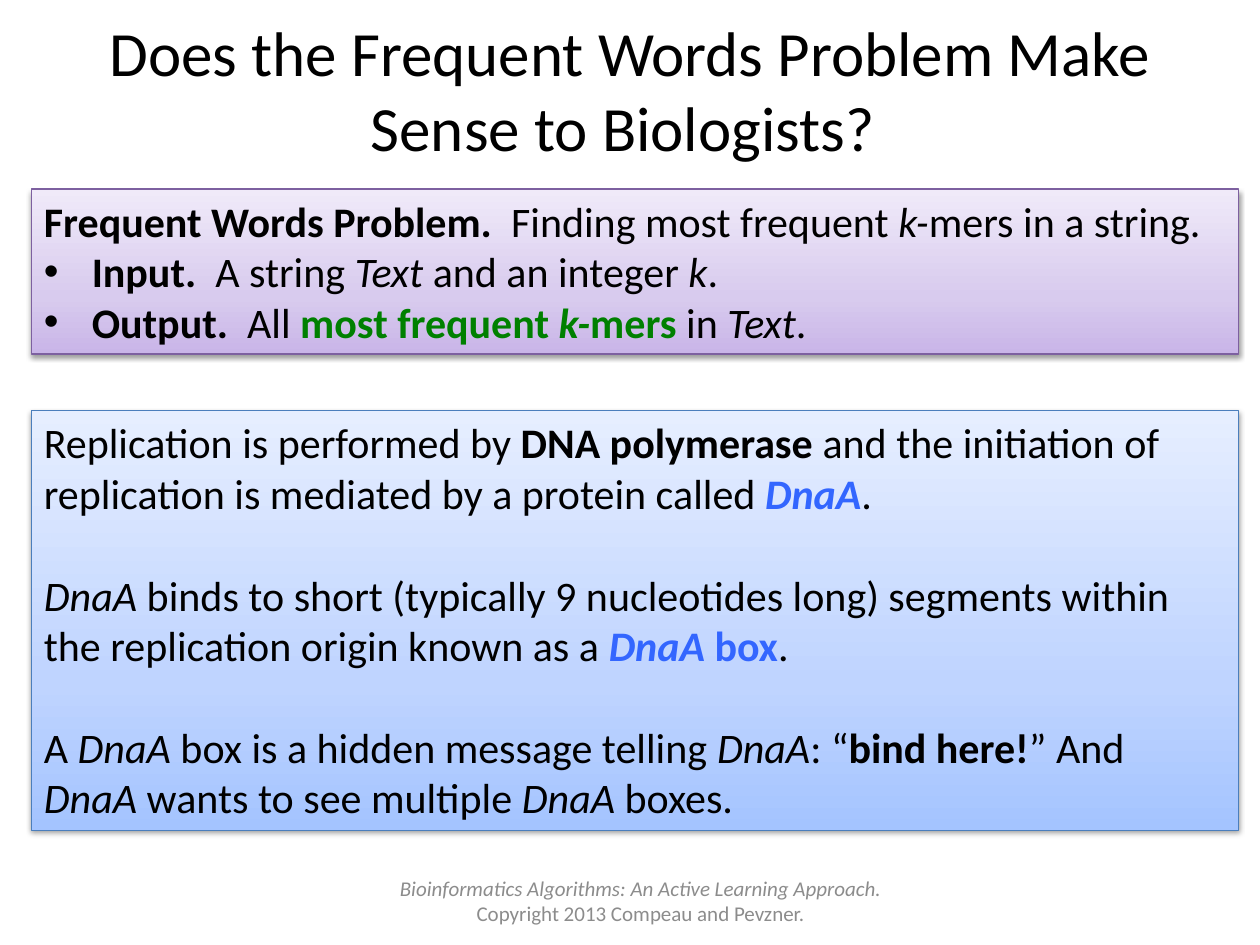
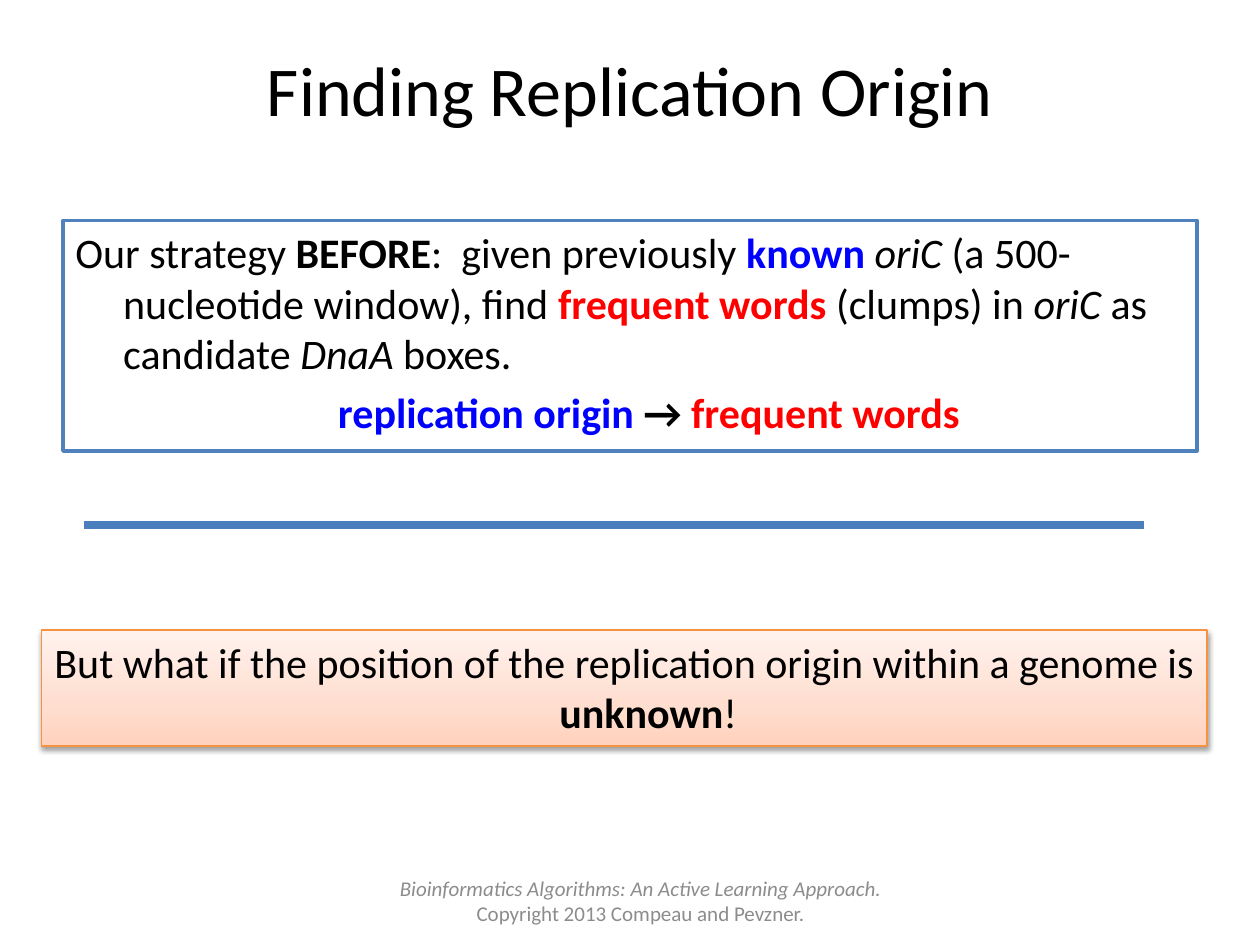
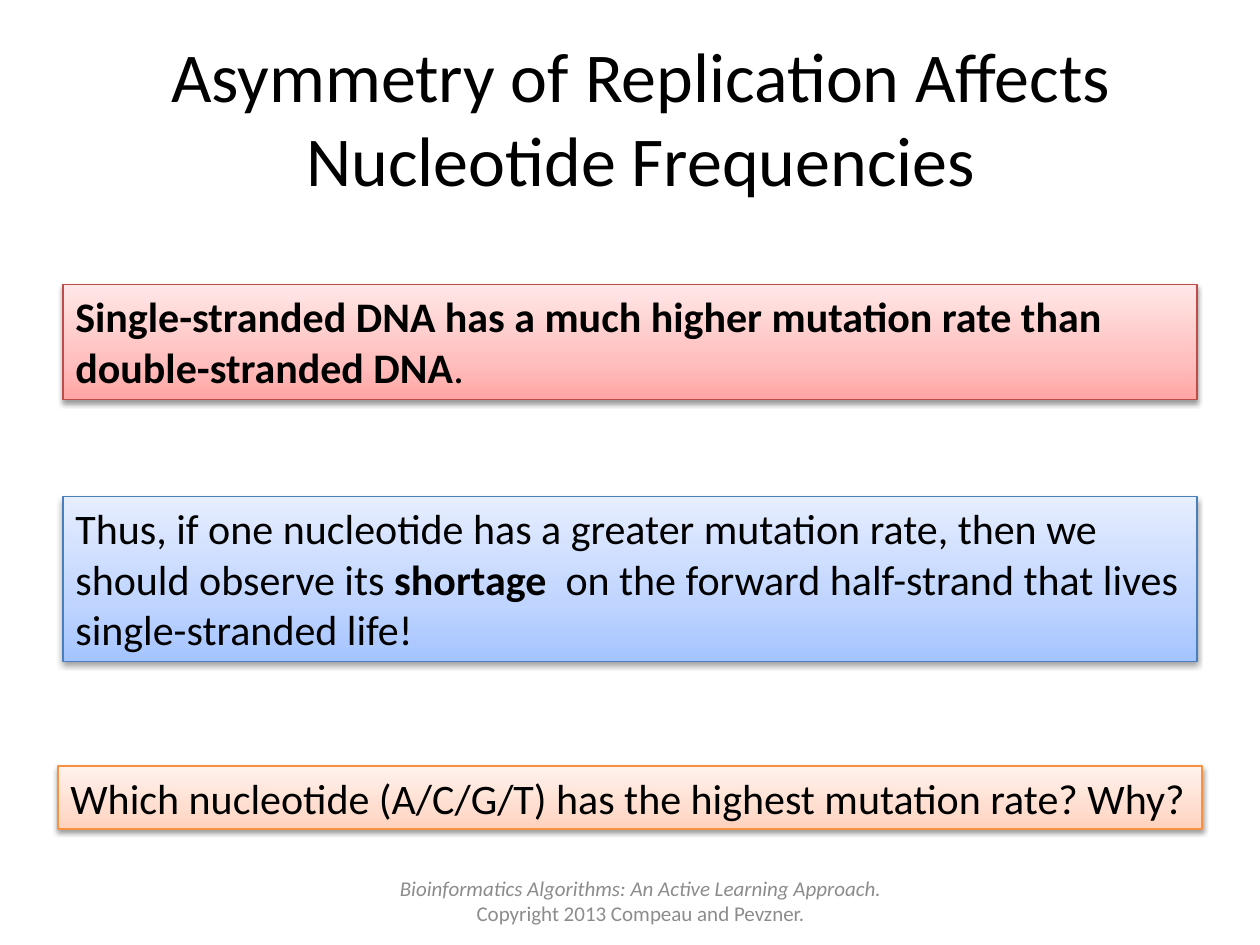
from copy import deepcopy

from lxml.etree import SubElement
from pptx import Presentation
from pptx.dml.color import RGBColor
from pptx.enum.shapes import MSO_CONNECTOR, MSO_SHAPE
from pptx.enum.text import MSO_ANCHOR, PP_ALIGN
from pptx.oxml.ns import qn
from pptx.util import Inches, Pt

# Colours
BLACK = RGBColor(0x00, 0x00, 0x00)
WHITE = RGBColor(0xFF, 0xFF, 0xFF)
GREY = RGBColor(0x8C, 0x8C, 0x8C)
GREEN = RGBColor(0x00, 0x80, 0x00)
AZURE = RGBColor(0x33, 0x66, 0xFF)
BLUE = RGBColor(0x00, 0x00, 0xFF)
RED = RGBColor(0xFF, 0x00, 0x00)
STEEL = RGBColor(0x4F, 0x81, 0xBD)
NAVY = RGBColor(0x4B, 0x7E, 0xBC)

# Box themes: outline, then the gradient from bottom to top
STOPS = (0, 0.35, 1)
VIOLET_BOX = (RGBColor(0x7D, 0x60, 0xA0), RGBColor(0xC9, 0xB5, 0xE8),
              RGBColor(0xD8, 0xCB, 0xEE), RGBColor(0xF0, 0xEA, 0xF9))
BLUE_BOX = (NAVY, RGBColor(0xA4, 0xC4, 0xFF),
            RGBColor(0xBF, 0xD4, 0xFF), RGBColor(0xE6, 0xEE, 0xFF))
ORANGE_BOX = (RGBColor(0xF6, 0x92, 0x40), RGBColor(0xFF, 0xD2, 0xBD),
              RGBColor(0xFF, 0xDE, 0xD0), RGBColor(0xFF, 0xF2, 0xED))
RED_BOX = (RGBColor(0xBF, 0x4C, 0x48), RGBColor(0xFF, 0xA6, 0xA5),
           RGBColor(0xFF, 0xC0, 0xBF), RGBColor(0xFF, 0xE7, 0xE7))

# Text styles
FONT = "Calibri"
PLAIN = {}
BOLD = {"bold": True}
ITALIC = {"italic": True}
BOTH = {"bold": True, "italic": True}
LINE_GAP = 29.3  # one line of body text, in points
HANG = 0.38


def add_text(par, text, size=24, color=BLACK, bold=False, italic=False):
    run = par.add_run()
    run.text = text
    font = run.font
    font.name, font.size = FONT, Pt(size)
    font.bold, font.italic = bold, italic
    font.color.rgb = color


def add_par(frame, *parts, align=PP_ALIGN.LEFT, before=0, left=0, hang=0,
            bullet=False):
    """Fill the empty first paragraph, or start a new one."""
    par = frame.paragraphs[0]
    if par.runs:
        par = frame.add_paragraph()
    par.alignment = align
    par.space_before = Pt(before)
    props = par._p.get_or_add_pPr()
    props.set("marL", str(Inches(left)))
    props.set("indent", str(-Inches(hang)))
    if bullet:
        SubElement(props, qn("a:buFont"), typeface="Arial")
        SubElement(props, qn("a:buChar"), char="•")
    for text, style in parts:
        add_text(par, text, **style)


def add_shadow(shape):
    effects = shape._element.spPr.find(qn("a:effectLst"))
    shadow = SubElement(effects, qn("a:outerShdw"), blurRad=str(Pt(3.1)),
                        dist=str(Pt(1.6)), dir="5400000", rotWithShape="0")
    color = SubElement(shadow, qn("a:srgbClr"), val=str(BLACK))
    SubElement(color, qn("a:alpha"), val="38000")


def add_box(slide, left, top, width, height, line, weight=0.75):
    shape = slide.shapes.add_shape(
        MSO_SHAPE.RECTANGLE, Inches(left), Inches(top), Inches(width),
        Inches(height))
    shape.shadow.inherit = False
    shape.fill.solid()
    shape.fill.fore_color.rgb = WHITE
    shape.line.color.rgb = line
    shape.line.width = Pt(weight)
    frame = shape.text_frame
    frame.word_wrap = True
    frame.vertical_anchor = MSO_ANCHOR.TOP
    return shape


def add_panel(slide, left, top, width, height, theme):
    """Add a shaded box with a shadow and return its text frame."""
    line, *shades = theme
    shape = add_box(slide, left, top, width, height, line)
    fill = shape.fill
    fill.gradient()
    fill.gradient_angle = 90
    stops = shape._element.spPr.find(qn("a:gradFill")).find(qn("a:gsLst"))
    stops.append(deepcopy(stops[0]))
    for stop, place, shade in zip(fill.gradient_stops, STOPS, shades):
        stop.position = place
        stop.color.rgb = shade
    add_shadow(shape)
    return shape.text_frame


def add_rule(slide, left, right, top):
    rule = slide.shapes.add_connector(
        MSO_CONNECTOR.STRAIGHT, Inches(left), Inches(top), Inches(right),
        Inches(top))
    rule.line.color.rgb = NAVY
    rule.line.width = Pt(4.5)
    SubElement(rule._element.spPr, qn("a:effectLst"))


def add_footer(slide):
    box = slide.shapes.add_textbox(
        Inches(3), Inches(6.95), Inches(4.17), Inches(0.4))
    frame = box.text_frame
    frame.word_wrap = True
    frame.vertical_anchor = MSO_ANCHOR.MIDDLE
    note = {"size": 12, "color": GREY}
    add_par(frame, ("Bioinformatics Algorithms: An Active Learning Approach.",
                    {**note, **ITALIC}), align=PP_ALIGN.CENTER)
    add_par(frame, ("Copyright 2013 Compeau and Pevzner.", note),
            align=PP_ALIGN.CENTER)


def add_slide(deck, text, size=40, left=0.5, top=0.08, width=9):
    """Add a slide with the shared title style and footer."""
    slide = deck.slides.add_slide(deck.slide_layouts[5])
    title = slide.shapes.title
    title.left, title.top = Inches(left), Inches(top)
    title.width, title.height = Inches(width), Inches(1.25)
    title.text_frame.vertical_anchor = MSO_ANCHOR.MIDDLE
    add_par(title.text_frame, (text, {"size": size}), align=PP_ALIGN.CENTER)
    add_footer(slide)
    return slide


def words_slide(deck):
    slide = add_slide(
        deck, "Does the Frequent Words Problem Make Sense to Biologists? ",
        size=36)
    green, azure = {"color": GREEN}, {"color": AZURE}
    item = {"left": HANG, "hang": HANG, "bullet": True}

    # Problem statement
    frame = add_panel(slide, 0.25, 1.5, 9.58, 1.31, VIOLET_BOX)
    add_par(frame, ("Frequent Words Problem.  ", BOLD),
            ("Finding most frequent ", PLAIN), ("k-", ITALIC),
            ("mers in a string.", PLAIN))
    add_par(frame, ("Input.  ", BOLD), ("A string ", PLAIN), ("Text", ITALIC),
            (" and an integer ", PLAIN), ("k", ITALIC), (".", PLAIN), **item)
    add_par(frame, ("Output.  ", BOLD), ("All ", PLAIN),
            ("most frequent ", {**BOLD, **green}), ("k-", {**BOTH, **green}),
            ("mers ", {**BOLD, **green}), ("in ", PLAIN), ("Text", ITALIC),
            (".", PLAIN), **item)

    # Biology behind it
    frame = add_panel(slide, 0.25, 3.26, 9.58, 3.33, BLUE_BOX)
    add_par(frame, ("Replication is performed by ", PLAIN),
            ("DNA polymerase", BOLD),
            (" and the initiation of replication is mediated by a protein "
             "called ", PLAIN),
            ("DnaA", {**BOTH, **azure}), (".", PLAIN))
    add_par(frame, ("DnaA", ITALIC),
            (" binds to short (typically 9 nucleotides long) segments within "
             "the replication origin known as a ", PLAIN),
            ("DnaA", {**BOTH, **azure}), (" box", {**BOLD, **azure}),
            (".", PLAIN), before=LINE_GAP)
    add_par(frame, ("A ", PLAIN), ("DnaA", ITALIC),
            (" box is a hidden message telling ", PLAIN), ("DnaA", ITALIC),
            (": “", PLAIN), ("bind here!", BOLD), ("” And ", PLAIN),
            ("DnaA ", ITALIC), ("wants to see multiple ", PLAIN),
            ("DnaA ", ITALIC), ("boxes.", PLAIN), before=LINE_GAP)


def origin_slide(deck):
    slide = add_slide(deck, "Finding Replication Origin")
    known, words = {**BOLD, "color": BLUE}, {**BOLD, "color": RED}

    # Strategy so far
    frame = add_box(slide, 0.5, 1.75, 9, 1.83, STEEL, weight=2).text_frame
    add_par(frame, ("Our strategy ", PLAIN), ("BEFORE", BOLD),
            (":  given previously ", PLAIN), ("known ", known),
            ("oriC ", ITALIC), ("(a 500-nucleotide window), find ", PLAIN),
            ("frequent words ", words), ("(clumps) in ", PLAIN),
            ("oriC", ITALIC), (" as candidate ", PLAIN), ("DnaA", ITALIC),
            (" boxes.", PLAIN), left=HANG, hang=HANG)
    add_par(frame, ("replication origin ", known), ("→ ", BOLD),
            ("frequent words", words), align=PP_ALIGN.CENTER, before=4.8,
            left=0.3)

    add_rule(slide, 0.67, 9.08, 4.17)

    # Open question
    frame = add_panel(slide, 0.33, 5, 9.25, 0.92, ORANGE_BOX)
    add_par(frame, ("But what if the position of the replication origin "
                    "within a genome is ", PLAIN),
            ("unknown", BOLD), ("!", PLAIN), align=PP_ALIGN.CENTER,
            left=HANG, hang=HANG)


def strand_slide(deck):
    slide = add_slide(
        deck, "Asymmetry of Replication Affects Nucleotide Frequencies",
        left=0.17, top=0.3, width=9.83)

    # Fact, consequence, question
    frame = add_panel(slide, 0.5, 2.26, 9, 0.91, RED_BOX)
    add_par(frame, ("Single-stranded DNA has a much higher mutation rate than "
                    "double-stranded DNA", BOLD), (".", PLAIN))
    frame = add_panel(slide, 0.5, 3.94, 9, 1.31, BLUE_BOX)
    add_par(frame, ("Thus, if one nucleotide has a greater mutation rate, "
                    "then we should observe its ", PLAIN),
            ("shortage", BOLD),
            ("  on the forward half-strand that lives single-stranded life!",
             PLAIN))
    frame = add_panel(slide, 0.46, 6.08, 9.08, 0.5, ORANGE_BOX)
    add_par(frame, ("Which nucleotide (A/C/G/T) has the highest mutation "
                    "rate? Why?", PLAIN))


def main():
    deck = Presentation()
    deck.slide_width, deck.slide_height = Inches(10), Inches(7.5)
    words_slide(deck)
    origin_slide(deck)
    strand_slide(deck)
    deck.save("out.pptx")


if __name__ == "__main__":
    main()
